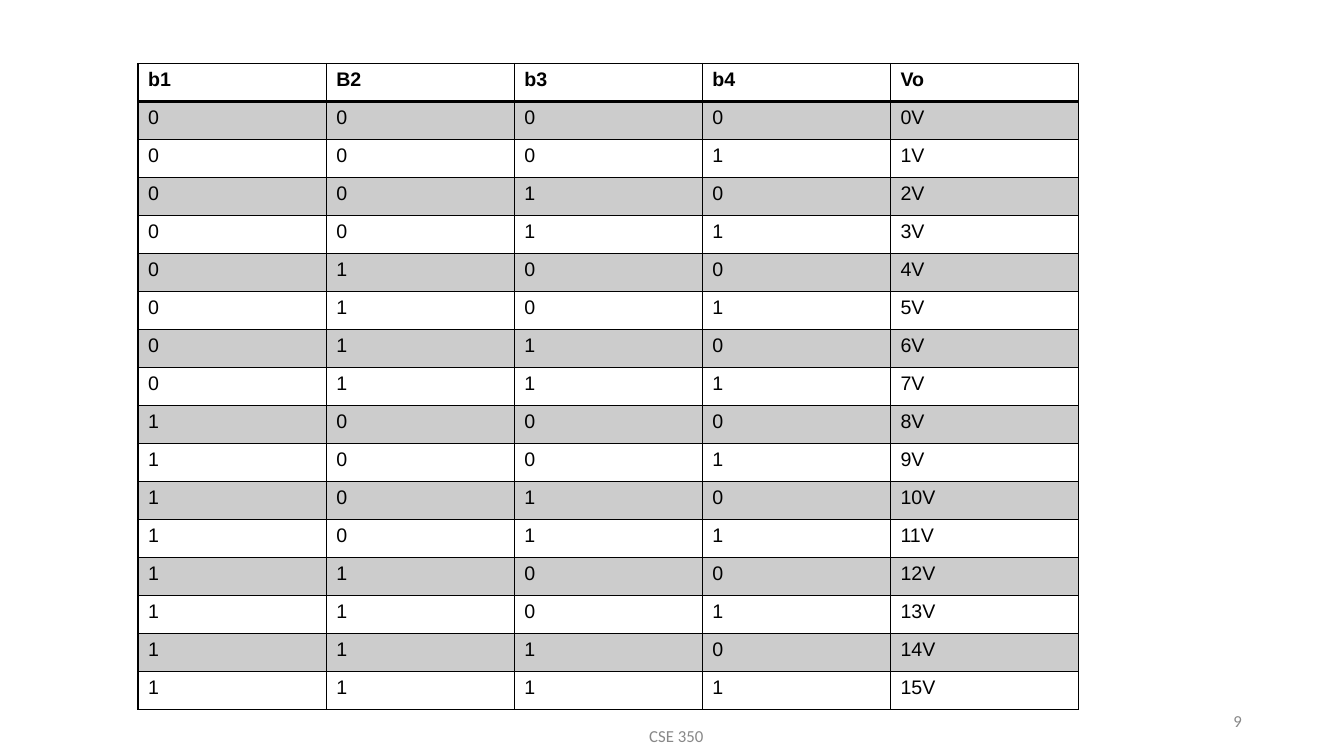
from itertools import product

from lxml.etree import SubElement
from pptx import Presentation
from pptx.dml.color import RGBColor
from pptx.enum.text import MSO_ANCHOR as Anchor, PP_ALIGN as Align
from pptx.oxml.ns import qn
from pptx.util import Cm, Pt

BLACK = RGBColor(0x00, 0x00, 0x00)
GRAY = RGBColor(0x88, 0x88, 0x88)
HEADER = ["b1", "B2", "b3", "b4", "Vo"]


class TruthTableSlide:
    """Holds the text style and the current slide, and adds elements to it."""

    def __init__(self, slide, table_font="Arial", footer_font="Calibri"):
        self.slide = slide
        self.table_font = table_font
        self.footer_font = footer_font

    def add_text(self, paragraph, text, font, size, color, bold=False):
        run = paragraph.add_run()
        run.text = text
        run.font.name = font
        run.font.size = Pt(size)
        run.font.bold = bold
        run.font.color.rgb = color

    def footer(self, text, left, top, width, align):
        box = self.slide.shapes.add_textbox(Cm(left), Cm(top), Cm(width), Cm(1.02))
        frame = box.text_frame
        frame.word_wrap = True
        frame.vertical_anchor = Anchor.MIDDLE
        paragraph = frame.paragraphs[0]
        paragraph.alignment = align
        self.add_text(paragraph, text, self.footer_font, 12, GRAY)

    def border(self, cell, side, width):
        properties = cell._tc.get_or_add_tcPr()
        line = SubElement(properties, qn(f"a:ln{side}"), w=str(Pt(width)))
        fill = SubElement(line, qn("a:solidFill"))
        SubElement(fill, qn("a:srgbClr"), val=str(BLACK))

    def shade(self, cell, percent):
        cell.fill.solid()
        cell.fill.fore_color.rgb = BLACK
        color = cell._tc.tcPr.find(f"{qn('a:solidFill')}/{qn('a:srgbClr')}")
        SubElement(color, qn("a:alpha"), val=str(percent * 1000))

    def table(self, rows, left, top, width, height):
        table = self.slide.shapes.add_table(
            len(rows), len(rows[0]), Cm(left), Cm(top), Cm(width), Cm(height)
        ).table
        table.horz_banding = False
        for row, values in enumerate(rows):
            for column, value in enumerate(values):
                cell = table.cell(row, column)
                paragraph = cell.text_frame.paragraphs[0]
                self.add_text(paragraph, value, self.table_font, 14, BLACK, row == 0)
                self.border(cell, "L", 1)
                self.border(cell, "R", 1)
                self.border(cell, "T", 2 if row == 1 else 1)
                self.border(cell, "B", 2 if row == 0 else 1)
                if row % 2:
                    self.shade(cell, 20)
                else:
                    cell.fill.background()


def main():
    presentation = Presentation()
    presentation.slide_width = Cm(33.87)
    presentation.slide_height = Cm(19.05)
    slide = presentation.slides.add_slide(presentation.slide_layouts[6])
    page = TruthTableSlide(slide)
    page.footer("CSE 350", 11.33, 18.03, 11.43, Align.CENTER)
    page.footer("9", 23.93, 17.65, 7.62, Align.RIGHT)
    states = [
        [*bits, f"{volts}V"] for volts, bits in enumerate(product("01", repeat=4))
    ]
    page.table([HEADER, *states], 3.48, 1.6, 23.7, 16.28)
    presentation.save("out.pptx")


if __name__ == "__main__":
    main()
